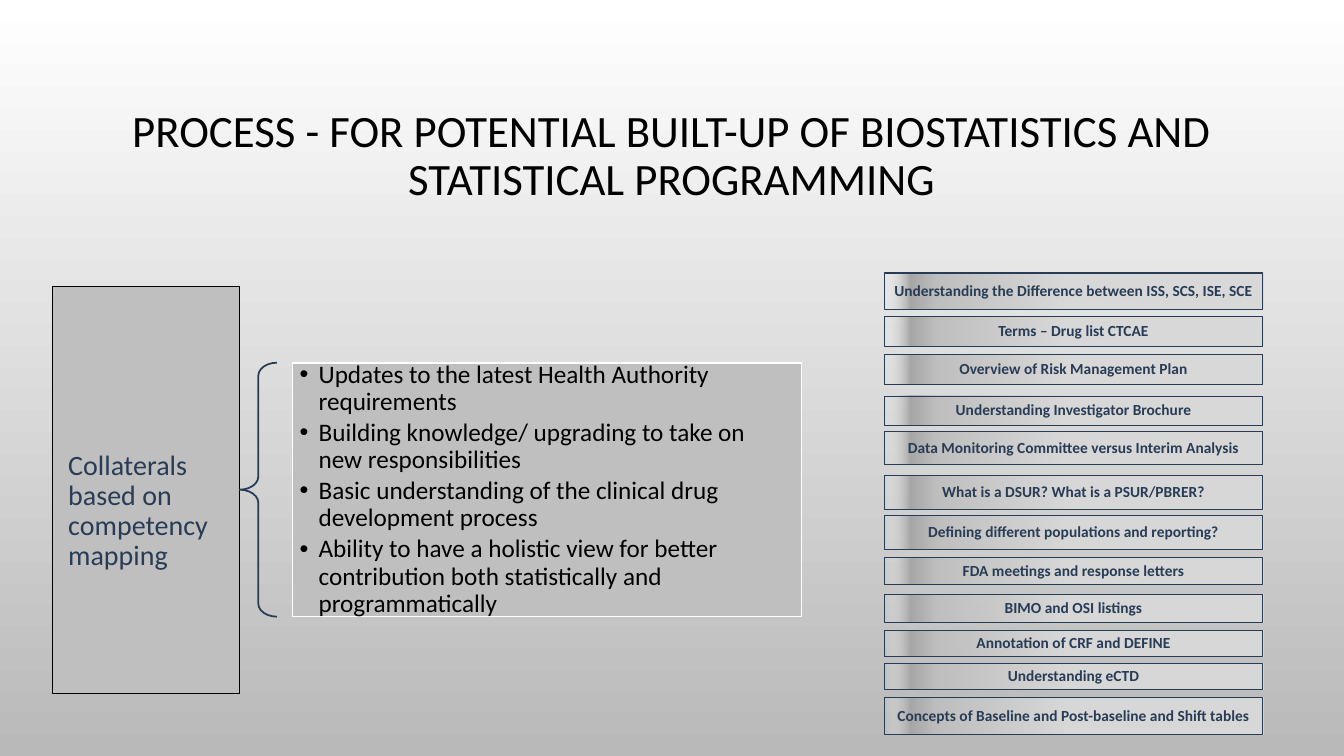
from lxml.etree import SubElement
from pptx import Presentation
from pptx.dml.color import RGBColor
from pptx.enum.shapes import MSO_SHAPE
from pptx.enum.text import MSO_ANCHOR, PP_ALIGN
from pptx.oxml.ns import qn
from pptx.util import Cm, Pt

FONT = "Calibri"
BLACK = RGBColor(0x00, 0x00, 0x00)
WHITE = RGBColor(0xFF, 0xFF, 0xFF)
NAVY = RGBColor(0x28, 0x3C, 0x55)
PANEL_GREY = RGBColor(0xBF, 0xBF, 0xBF)
BACKGROUND_GREY = RGBColor(0xB9, 0xB9, 0xB9)

# Position in percent, colour, opacity in percent
TOPIC_GRADIENT = [
    (0, RGBColor(0xF7, 0xF7, 0xF7), 0),
    (7, RGBColor(0xA6, 0xA6, 0xA6), 100),
    (14, PANEL_GREY, 100),
    (48, RGBColor(0xD9, 0xD9, 0xD9), 100),
]

TITLE = "PROCESS - FOR POTENTIAL BUILT-UP OF BIOSTATISTICS AND STATISTICAL PROGRAMMING"
COLLATERALS = "Collaterals based on competency mapping"
COMPETENCIES = [
    "Updates to the latest Health Authority requirements",
    "Building knowledge/ upgrading to take on new responsibilities",
    "Basic understanding of the clinical drug development process",
    "Ability to have a holistic view for better contribution both statistically and programmatically",
]
# Text, offset from the top of the column and height in centimetres
TOPICS = [
    ("Understanding the Difference between ISS, SCS, ISE, SCE", 0, 0.93),
    ("Terms – Drug list CTCAE", 1.1, 0.76),
    ("Overview of Risk Management Plan", 2.06, 0.76),
    ("Understanding Investigator Brochure", 3.1, 0.74),
    ("Data Monitoring Committee versus Interim Analysis", 3.99, 0.84),
    ("What is a DSUR? What is a PSUR/PBRER?", 5.11, 0.84),
    ("Defining different populations and reporting?", 6.12, 0.84),
    ("FDA meetings and response letters", 7.17, 0.69),
    ("BIMO and OSI listings", 8.11, 0.71),
    ("Annotation of CRF and DEFINE", 9, 0.66),
    ("Understanding eCTD", 9.83, 0.66),
    ("Concepts of Baseline and Post-baseline and Shift tables", 10.7, 0.94),
]


def add_outlined(page, kind, left, top, width, height, line_color, line_width):
    shape = page.shapes.add_shape(kind, Cm(left), Cm(top), Cm(width), Cm(height))
    shape.shadow.inherit = False
    shape.line.color.rgb = line_color
    shape.line.width = Pt(line_width)
    return shape


def fill_solid(shape, color):
    shape.fill.solid()
    shape.fill.fore_color.rgb = color


def fill_gradient(shape, stops):
    shape.fill.gradient()
    shape.fill.gradient_angle = 0
    stop_list = shape._element.spPr.find(".//" + qn("a:gsLst"))
    for old_stop in list(stop_list):
        stop_list.remove(old_stop)
    for position, color, opacity in stops:
        stop = SubElement(stop_list, qn("a:gs"), pos=str(position * 1000))
        tint = SubElement(stop, qn("a:srgbClr"), val=str(color))
        if opacity < 100:
            SubElement(tint, qn("a:alpha"), val=str(opacity * 1000))


def write_text(shape, lines, size, color, align, space_after=0, bold=False):
    frame = shape.text_frame
    frame.text = "\n".join(lines)
    frame.word_wrap = True
    frame.vertical_anchor = MSO_ANCHOR.MIDDLE
    for para in frame.paragraphs:
        para.alignment = align
        para.line_spacing = 0.9
        para.space_after = Pt(space_after)
        for span in para.runs:
            span.font.name = FONT
            span.font.size = Pt(size)
            span.font.bold = bold
            span.font.color.rgb = color


def set_insets(shape, left, top, right, bottom):
    frame = shape.text_frame
    frame.margin_left, frame.margin_top = Cm(left), Cm(top)
    frame.margin_right, frame.margin_bottom = Cm(right), Cm(bottom)


def add_bullets(shape, indent):
    for para in shape.text_frame.paragraphs:
        properties = para._p.get_or_add_pPr()
        properties.set("marL", str(Cm(indent)))
        properties.set("indent", str(-Cm(indent)))
        SubElement(properties, qn("a:buFont"), typeface="Arial")
        SubElement(properties, qn("a:buChar"), char="•")


def paint_background(page):
    fill = page.background.fill
    fill.gradient()
    fill.gradient_angle = 270
    for stop, color in zip(fill.gradient_stops, (WHITE, BACKGROUND_GREY)):
        stop.color.rgb = color


def place_title(page, left, top, width, height):
    title = page.shapes.title
    title.left, title.top = Cm(left), Cm(top)
    title.width, title.height = Cm(width), Cm(height)
    write_text(title, [TITLE], 32, BLACK, PP_ALIGN.CENTER)


def add_competency_map(page, left, top, width, height):
    """Place the tall panel, the brace and the bulleted list side by side."""
    panel_width, brace_width, list_left = 4.72, 0.94, 6.05
    list_height = 6.4
    list_top = top + (height - list_height) / 2

    panel = add_outlined(page, MSO_SHAPE.RECTANGLE, left, top, panel_width, height, BLACK, 0.75)
    fill_solid(panel, PANEL_GREY)
    set_insets(panel, 0.4, 1.25, 0.4, 0.15)
    write_text(panel, [COLLATERALS], 20, NAVY, PP_ALIGN.LEFT, space_after=7)

    brace = add_outlined(page, MSO_SHAPE.LEFT_BRACE, left + panel_width, list_top,
                         brace_width, list_height, NAVY, 1.25)
    brace.fill.background()
    brace.adjustments[0] = 0.35

    competencies = add_outlined(page, MSO_SHAPE.RECTANGLE, left + list_left, list_top,
                                width - list_left, list_height, WHITE, 1.25)
    fill_solid(competencies, PANEL_GREY)
    set_insets(competencies, 0.18, 0.18, 0.18, 0.18)
    write_text(competencies, COMPETENCIES, 18, BLACK, PP_ALIGN.LEFT, space_after=2.7)
    add_bullets(competencies, 0.48)


def add_topic_column(page, left, top, width):
    for text, offset, height in TOPICS:
        topic = add_outlined(page, MSO_SHAPE.RECTANGLE, left, top + offset, width, height, NAVY, 0.75)
        fill_gradient(topic, TOPIC_GRADIENT)
        set_insets(topic, 0.13, 0.13, 0.13, 0.13)
        write_text(topic, [text], 11, NAVY, PP_ALIGN.CENTER, space_after=3.85, bold=True)


def main():
    deck = Presentation()
    deck.slide_width, deck.slide_height = Cm(33.87), Cm(19.05)
    page = deck.slides.add_slide(deck.slide_layouts[5])
    paint_background(page)
    place_title(page, 2.54, 1.73, 28.78, 4.45)
    add_competency_map(page, 1.32, 7.21, 18.88, 10.26)
    add_topic_column(page, 22.28, 6.88, 9.55)
    deck.save("out.pptx")


if __name__ == "__main__":
    main()
